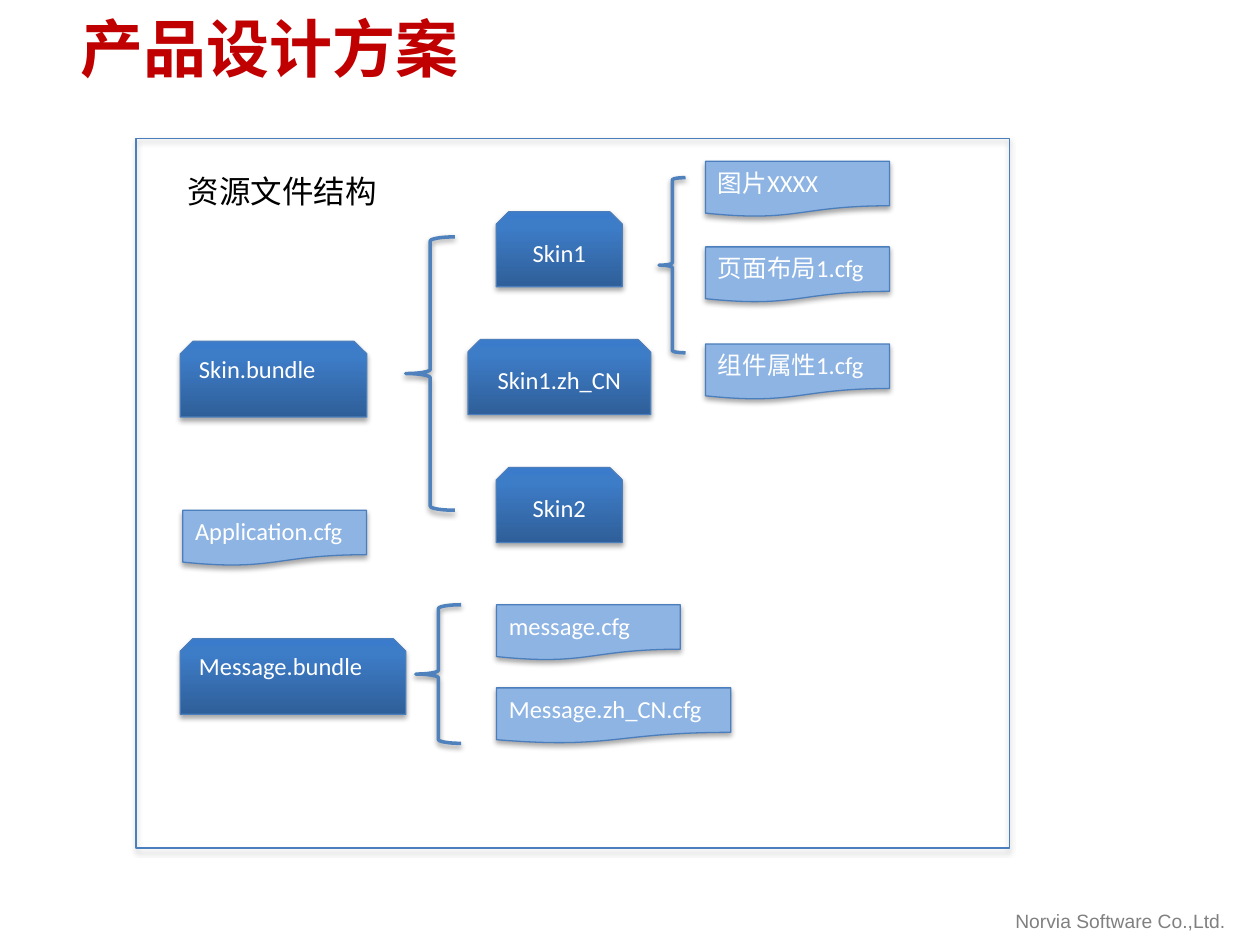
from copy import deepcopy
from dataclasses import dataclass

from lxml.etree import SubElement
from pptx import Presentation
from pptx.dml.color import RGBColor
from pptx.enum.shapes import MSO_SHAPE as Preset
from pptx.enum.text import MSO_ANCHOR as Anchor, MSO_AUTO_SIZE as AutoSize, PP_ALIGN as Align
from pptx.oxml.ns import qn
from pptx.util import Pt

RED = RGBColor(0xC0, 0x00, 0x00)
BLACK = RGBColor(0x00, 0x00, 0x00)
WHITE = RGBColor(0xFF, 0xFF, 0xFF)
GREY = RGBColor(0x80, 0x80, 0x80)
OUTLINE = RGBColor(0x4B, 0x7E, 0xBC)
BRACE_BLUE = RGBColor(0x4F, 0x81, 0xBD)
FILE_BLUE = RGBColor(0x8E, 0xB4, 0xE3)
FOLDER_STOPS = (
    (0, RGBColor(0x2F, 0x5F, 0x99)),
    (0.8, RGBColor(0x3D, 0x7C, 0xC7)),
    (1, RGBColor(0x3A, 0x7C, 0xCB)),
)

FILE_WIDTH, FILE_HEIGHT = 105.1, 31.7
BUNDLE_HEIGHT, SKIN_HEIGHT = 43.2, 42.8
BUNDLE_LEFT, MESSAGE_LEFT, DETAIL_LEFT = 103, 283.7, 403.2
SKIN_CENTER, SKIN_TOP, SKIN_STEP = 319.6, 121, 73.1


@dataclass
class Box:
    left: float
    top: float
    width: float
    height: float
    text: str = ""
    centered: bool = False

    def lengths(self) -> tuple:
        return tuple(Pt(value) for value in (self.left, self.top, self.width, self.height))


FRAME = Box(77.8, 79.2, 499, 405.4)

SKINS = [
    Box(SKIN_CENTER - width / 2, SKIN_TOP + row * SKIN_STEP, width, SKIN_HEIGHT, name, True)
    for row, (name, width) in enumerate((("Skin1", 72), ("Skin1.zh_CN", 104.4), ("Skin2", 72)))
]
FOLDERS = [
    Box(BUNDLE_LEFT, 195.1, 106.6, BUNDLE_HEIGHT, "Skin.bundle"),
    Box(BUNDLE_LEFT, 365, 128.9, BUNDLE_HEIGHT, "Message.bundle"),
    *SKINS,
]
FILES = [
    Box(104.4, 291.6, FILE_WIDTH, FILE_HEIGHT, "Application.cfg"),
    Box(DETAIL_LEFT, 92.2, FILE_WIDTH, FILE_HEIGHT, "图片XXXX"),
    Box(DETAIL_LEFT, 141.1, FILE_WIDTH, FILE_HEIGHT, "页面布局1.cfg"),
    Box(DETAIL_LEFT, 196.6, FILE_WIDTH, FILE_HEIGHT, "组件属性1.cfg"),
    Box(MESSAGE_LEFT, 345.6, FILE_WIDTH, FILE_HEIGHT, "message.cfg"),
    Box(MESSAGE_LEFT, 393.1, 133.9, FILE_HEIGHT, "Message.zh_CN.cfg"),
]
BRACES = [
    Box(231.8, 135.4, 28.1, 156.2),
    Box(376.6, 101.5, 15.1, 100.1),
    Box(237.6, 345.6, 25.9, 79.2),
]


def write_text(text_frame, text: str, size: float, color: RGBColor,
               font_name: str = "Calibri", bold: bool = False) -> None:
    run = text_frame.paragraphs[0].add_run()
    run.text = text
    font_values = {"name": font_name, "size": Pt(size), "bold": bold}
    for attribute, value in font_values.items():
        setattr(run.font, attribute, value)
    run.font.color.rgb = color


def add_shadow(shape, distance: float, opacity: int) -> None:
    shape.shadow.inherit = False
    effects = shape._element.spPr.find(qn("a:effectLst"))
    shadow = SubElement(effects, qn("a:outerShdw"), blurRad=str(Pt(3.1)),
                        dist=str(Pt(distance)), dir="5400000", rotWithShape="0")
    color = SubElement(shadow, qn("a:srgbClr"), val=str(BLACK))
    SubElement(color, qn("a:alpha"), val=str(opacity * 1000))


def add_outlined(slide, preset: Preset, box: Box, color: RGBColor = OUTLINE,
                 line_width: float = 0.75, distance: float = 1.8, opacity: int = 35):
    shape = slide.shapes.add_shape(preset, *box.lengths())
    shape.fill.background()
    shape.line.color.rgb = color
    shape.line.width = Pt(line_width)
    add_shadow(shape, distance, opacity)
    return shape


def add_label(shape, box: Box) -> None:
    text_frame = shape.text_frame
    text_frame.vertical_anchor = Anchor.MIDDLE if box.centered else Anchor.TOP
    text_frame.paragraphs[0].alignment = Align.CENTER if box.centered else Align.LEFT
    write_text(text_frame, box.text, 14, WHITE)


def add_file(slide, box: Box) -> None:
    shape = add_outlined(slide, Preset.FLOWCHART_DOCUMENT, box)
    shape.fill.solid()
    shape.fill.fore_color.rgb = FILE_BLUE
    add_label(shape, box)


def add_folder(slide, box: Box) -> None:
    shape = add_outlined(slide, Preset.SNIP_2_SAME_RECTANGLE, box)
    shape.fill.gradient()
    shape.fill.gradient_angle = 90
    # The preset gradient has two stops; a third is needed
    stop_list = shape._element.spPr.find(qn("a:gradFill")).find(qn("a:gsLst"))
    stop_list.append(deepcopy(stop_list[-1]))
    for stop, (position, color) in zip(shape.fill.gradient_stops, FOLDER_STOPS):
        stop.position = position
        stop.color.rgb = color
    add_label(shape, box)


def add_caption(slide, box: Box, size: float, color: RGBColor, font_name: str) -> None:
    text_frame = slide.shapes.add_textbox(*box.lengths()).text_frame
    text_frame.word_wrap = False
    text_frame.auto_size = AutoSize.SHAPE_TO_FIT_TEXT
    write_text(text_frame, box.text, size, color, font_name)


def add_title(slide, box: Box) -> None:
    title = slide.shapes.title
    title.left, title.top, title.width, title.height = box.lengths()
    frame_values = {"vertical_anchor": Anchor.MIDDLE, "auto_size": AutoSize.NONE}
    for attribute, value in frame_values.items():
        setattr(title.text_frame, attribute, value)
    title.text_frame.paragraphs[0].alignment = Align.LEFT
    write_text(title.text_frame, box.text, 36, RED, bold=True)


def main() -> None:
    presentation = Presentation()
    presentation.slide_width, presentation.slide_height = Pt(720), Pt(540)
    slide = presentation.slides.add_slide(presentation.slide_layouts[5])

    # Title, footer and diagram heading
    add_title(slide, Box(38.9, 2.2, 648, 49.7, "产品设计方案"))
    add_caption(slide, Box(573.1, 516.2, 141.1, 20.9, "Norvia Software Co.,Ltd."),
                11, GREY, "Arial")
    add_caption(slide, Box(100.1, 95, 123.8, 28.8, "资源文件结构"), 18, BLACK, "Calibri")

    # Resource file structure
    add_outlined(slide, Preset.RECTANGLE, FRAME)
    for folder in FOLDERS:
        add_folder(slide, folder)
    for file in FILES:
        add_file(slide, file)
    for brace in BRACES:
        add_outlined(slide, Preset.LEFT_BRACE, brace, BRACE_BLUE, 2, 1.6, 38)

    presentation.save("out.pptx")


if __name__ == "__main__":
    main()
